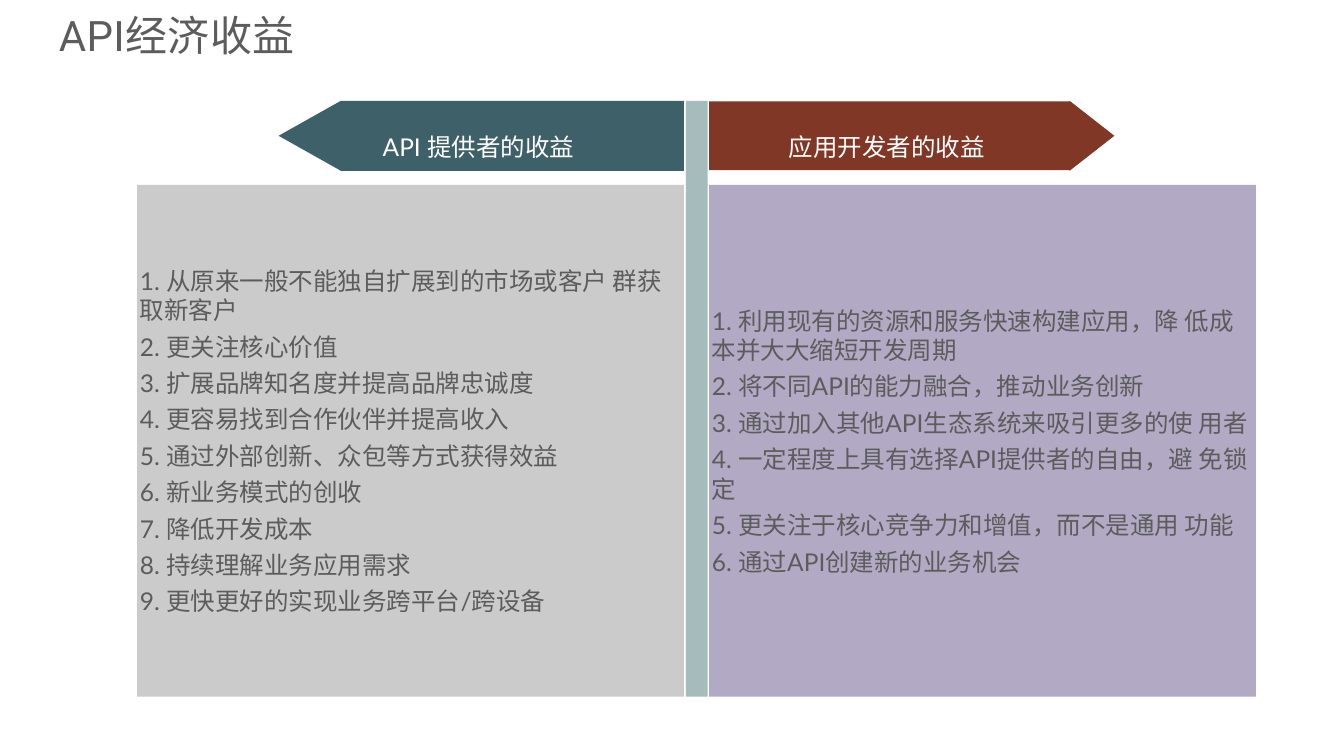
from pptx import Presentation
from pptx import util as u
from pptx.dml import color
from pptx.enum import shapes, text

Pt = u.Pt


def rgb(value):
    return color.RGBColor.from_string(value)


def style(shape, fill, paragraphs, size, font, ink, alignment, before):
    """Fill a shape if a colour is given, and set its paragraphs."""
    if fill:
        shape.shadow.inherit = False
        shape.fill.solid()
        shape.fill.fore_color.rgb = rgb(fill)
        shape.line.fill.background()
    frame = shape.text_frame
    frame.word_wrap = True
    frame.vertical_anchor = text.MSO_ANCHOR.MIDDLE
    frame.margin_left = frame.margin_right = Pt(4)
    frame.margin_top = frame.margin_bottom = Pt(4)
    for index, line in enumerate(paragraphs):
        paragraph = frame.add_paragraph() if index else frame.paragraphs[0]
        paragraph.alignment = alignment
        paragraph.space_before = Pt(before)
        run = paragraph.add_run()
        run.text = line
        run.font.size = Pt(size)
        run.font.name = font
        run.font.color.rgb = rgb(ink)


GREY, WHITE = "5C5C5C", "FFFFFF"
LEFT, CENTER = text.PP_ALIGN.LEFT, text.PP_ALIGN.CENTER

presentation = Presentation()
presentation.slide_width = Pt(1920)
presentation.slide_height = Pt(1080)
slide = presentation.slides.add_slide(presentation.slide_layouts[5])

# Title
title = slide.shapes.title
title.left, title.top, title.width, title.height = Pt(80), Pt(3.6), Pt(712), Pt(92)
style(title, None, ["API经济收益"], 60, "Roboto", GREY, LEFT, 20)
title.text_frame.auto_size = text.MSO_AUTO_SIZE.SHAPE_TO_FIT_TEXT
title.text_frame.paragraphs[0].runs[0].font._element.set("spc", "60")

# Geometry shared by both columns
top, arrow_height, arrow_width = 144, 100, 579
panel_top, panel_width, panel_height = 264.2, 781, 731
left_edge, right_edge = 977, 1013  # inner edges, on either side of the divider

# Header arrows
developer_arrow = slide.shapes.add_shape(
    shapes.MSO_SHAPE.RIGHT_ARROW, Pt(right_edge), Pt(top), Pt(arrow_width), Pt(arrow_height))
developer_arrow.adjustments[0] = 0.98
developer_arrow.adjustments[1] = 0.64

tip, shoulder = left_edge - arrow_width, left_edge - 490
bottom = top + arrow_height
builder = slide.shapes.build_freeform(Pt(shoulder), Pt(bottom))
builder.add_line_segments([
    (Pt(tip), Pt(top + arrow_height / 2)),
    (Pt(shoulder), Pt(top)),
    (Pt(left_edge), Pt(top)),
    (Pt(left_edge), Pt(bottom)),
])
provider_arrow = builder.convert_to_shape()

for arrow, fill, heading in [
    (developer_arrow, "813725", "应用开发者的收益 "),
    (provider_arrow, "3E6169", "API 提供者的收益 "),
]:
    style(arrow, fill, [heading], 35, "Lato", WHITE, CENTER, 12)
    arrow.text_frame.paragraphs[0].line_spacing = Pt(73)

# Divider
divider = slide.shapes.add_shape(
    shapes.MSO_SHAPE.RECTANGLE, Pt(980), Pt(top), Pt(31), Pt(panel_top + panel_height - top))
style(divider, "A6BBBB", [], 35, "Lato", GREY, LEFT, 0)

# Benefit panels
provider_benefits = [
    "从原来一般不能独自扩展到的市场或客户 群获取新客户",
    "更关注核心价值",
    "扩展品牌知名度并提高品牌忠诚度",
    "更容易找到合作伙伴并提高收入",
    "通过外部创新、众包等方式获得效益",
    "新业务模式的创收",
    "降低开发成本",
    "持续理解业务应用需求",
    "更快更好的实现业务跨平台/跨设备",
]
developer_benefits = [
    "利用现有的资源和服务快速构建应用，降 低成本并大大缩短开发周期",
    "将不同API的能力融合，推动业务创新",
    "通过加入其他API生态系统来吸引更多的使 用者",
    "一定程度上具有选择API提供者的自由，避 免锁定",
    "更关注于核心竞争力和增值，而不是通用 功能",
    "通过API创建新的业务机会",
]
for left, fill, benefits in [
    (left_edge - panel_width, "CBCBCB", provider_benefits),
    (right_edge, "B2AAC4", developer_benefits),
]:
    panel = slide.shapes.add_shape(
        shapes.MSO_SHAPE.RECTANGLE, Pt(left), Pt(panel_top), Pt(panel_width), Pt(panel_height))
    numbered = [f"{number}. {benefit}" for number, benefit in enumerate(benefits, 1)]
    style(panel, fill, numbered, 35, "Lato", GREY, LEFT, 10)

presentation.save("out.pptx")
